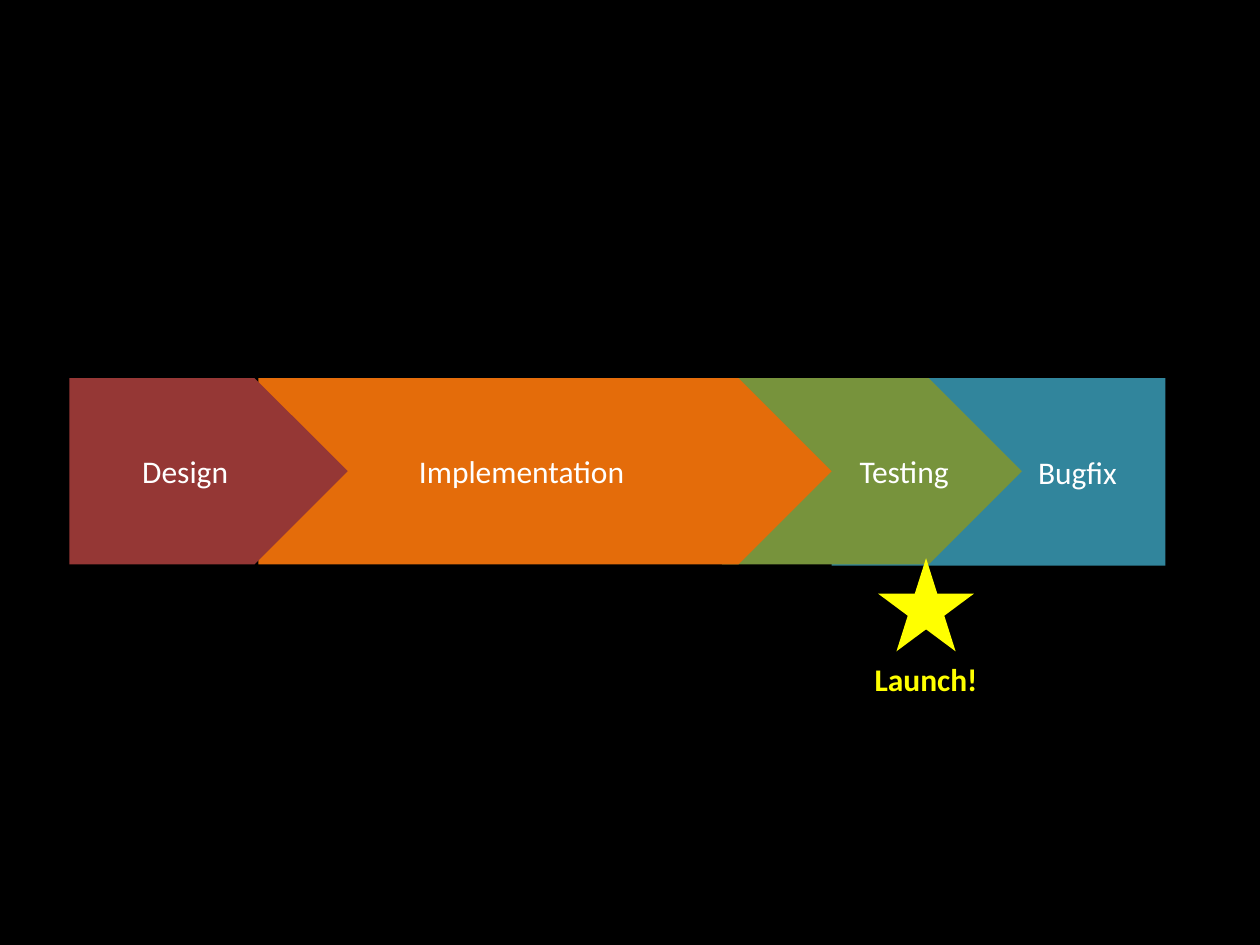
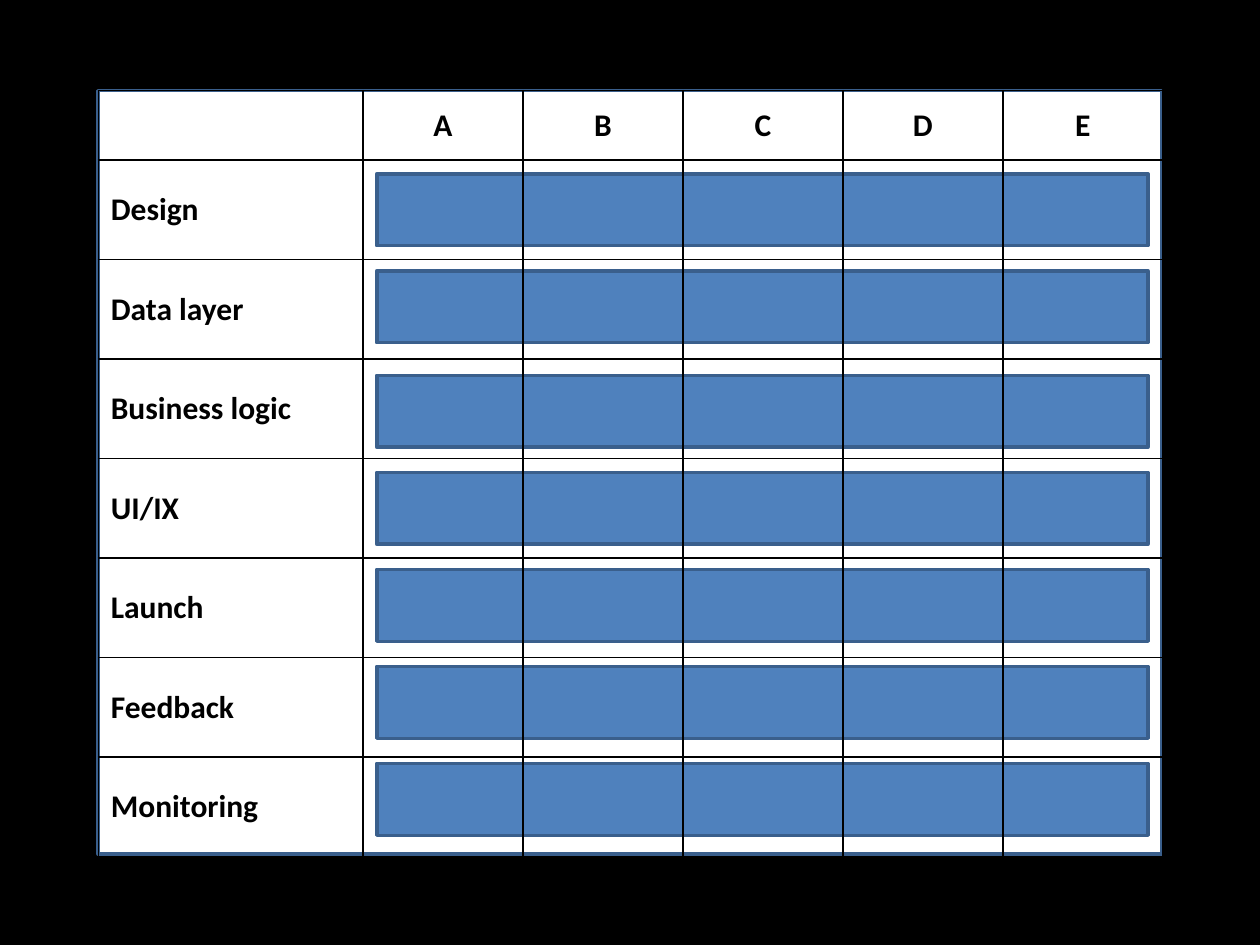
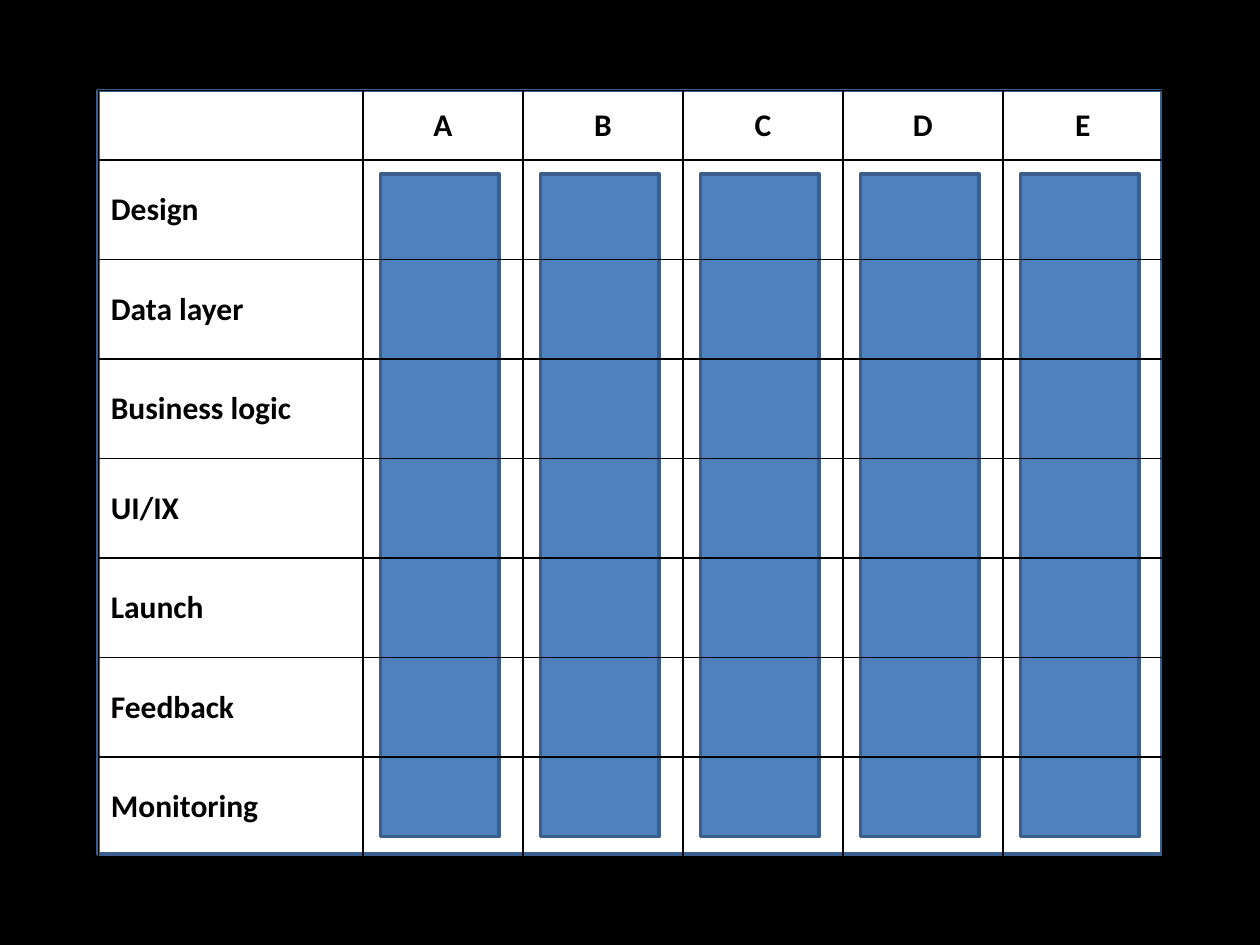
import pptx
import pptx.dml.color
import pptx.enum.shapes
import pptx.enum.text
import pptx.oxml.ns
import pptx.util
import lxml.etree

Inches = pptx.util.Inches
Pt = pptx.util.Pt
RGBColor = pptx.dml.color.RGBColor
SHAPE = pptx.enum.shapes.MSO_SHAPE
ALIGN = pptx.enum.text.PP_ALIGN
MIDDLE = pptx.enum.text.MSO_ANCHOR.MIDDLE

BLACK = RGBColor(0x00, 0x00, 0x00)
WHITE = RGBColor(0xFF, 0xFF, 0xFF)
YELLOW = RGBColor(0xFF, 0xFF, 0x00)
RED = RGBColor(0x95, 0x37, 0x35)
ORANGE = RGBColor(0xE4, 0x6C, 0x0A)
GREEN = RGBColor(0x77, 0x93, 0x3C)
TEAL = RGBColor(0x31, 0x85, 0x9C)
BLUE = RGBColor(0x4F, 0x81, 0xBD)
DARK_BLUE = RGBColor(0x3A, 0x5F, 0x8C)

LABEL_FONT = {"name": "Calibri", "size": Pt(18)}


def add_block(slide, preset, box, fill, outline=None):
    block = slide.shapes.add_shape(preset, *[Inches(length) for length in box])
    block.shadow.inherit = False
    block.fill.solid()
    block.fill.fore_color.rgb = fill
    if outline is None:
        block.line.fill.background()
    else:
        block.line.color.rgb = outline
        block.line.width = Pt(2)
    return block


def write_label(frame, text, color, bold=False, align=ALIGN.CENTER):
    paragraph = frame.paragraphs[0]
    paragraph.alignment = align
    run = paragraph.add_run()
    run.text = text
    for attribute, value in {**LABEL_FONT, "bold": bold}.items():
        setattr(run.font, attribute, value)
    run.font.color.rgb = color


deck = pptx.Presentation()
deck.slide_width = Inches(10)
deck.slide_height = Inches(7.5)

# Black background on every slide
phases_slide, layers_slide, features_slide = [
    deck.slides.add_slide(deck.slide_layouts[6]) for _ in range(3)
]
for slide in deck.slides:
    slide.background.fill.solid()
    slide.background.fill.fore_color.rgb = BLACK

# Project phases, last one at the back; the inset clears the overlapping arrow
PHASES = [
    ("Bugfix", SHAPE.RECTANGLE, 6.6, 2.65, 1.49, TEAL, 1.35),
    ("Testing", SHAPE.PENTAGON, 5.73, 2.38, 1.48, GREEN, 0.98),
    ("Implementation", SHAPE.PENTAGON, 2.05, 4.55, 1.48, ORANGE, 0.1),
    ("Design", SHAPE.PENTAGON, 0.55, 2.21, 1.48, RED, 0.1),
]
for name, preset, left, width, height, color, inset in PHASES:
    phase = add_block(phases_slide, preset, (left, 3, width, height), color)
    phase.text_frame.margin_left = Inches(inset)
    phase.text_frame.vertical_anchor = MIDDLE
    write_label(phase.text_frame, name, WHITE)

# Launch marker
add_block(phases_slide, SHAPE.STAR_5_POINT, (6.97, 4.43, 0.76, 0.74), YELLOW)
launch = phases_slide.shapes.add_textbox(Inches(6.6), Inches(5.19), Inches(1.5), Inches(0.4))
launch.text_frame.word_wrap = True
write_label(launch.text_frame, "Launch!", YELLOW, bold=True)

# Work matrix: layers against features
FEATURES = ["A", "B", "C", "D", "E"]
LAYERS = ["Design", "Data layer", "Business logic", "UI/IX", "Launch", "Feedback", "Monitoring"]
MATRIX_BOX = (0.78, 0.72, 8.44, 6.06)
FEATURE_WIDTH = 1.27
BARS_TOP = 1.38

# One bar per layer, with a slightly wider gap after the second
layer_bars = [
    (2.99, BARS_TOP + 0.77 * row + (0.06 if row >= 2 else 0), 6.12, 0.57)
    for row in range(len(LAYERS))
]
# One bar per feature
feature_bars = [
    (3.02 + FEATURE_WIDTH * column, BARS_TOP, 0.94, 5.26)
    for column in range(len(FEATURES))
]

for slide, bars in ((layers_slide, layer_bars), (features_slide, feature_bars)):
    # White panel and bars behind the grid
    add_block(slide, SHAPE.RECTANGLE, MATRIX_BOX, WHITE, DARK_BLUE)
    for bar in bars:
        add_block(slide, SHAPE.RECTANGLE, bar, BLUE, DARK_BLUE)

    # Transparent grid
    matrix = slide.shapes.add_table(
        len(LAYERS) + 1, len(FEATURES) + 1, *[Inches(length) for length in MATRIX_BOX]
    ).table
    matrix.first_row = False
    matrix.horz_banding = False
    for index, column in enumerate(matrix.columns):
        column.width = Inches(FEATURE_WIDTH if index else 2.1)
    for index, row in enumerate(matrix.rows):
        row.height = Inches(0.79 if index else 0.55)

    for cell in matrix.iter_cells():
        cell.vertical_anchor = MIDDLE
        properties = cell._tc.get_or_add_tcPr()
        for side in ("a:lnL", "a:lnR", "a:lnT", "a:lnB"):
            border = lxml.etree.SubElement(properties, pptx.oxml.ns.qn(side), w=str(Pt(1)))
            solid = lxml.etree.SubElement(border, pptx.oxml.ns.qn("a:solidFill"))
            lxml.etree.SubElement(solid, pptx.oxml.ns.qn("a:srgbClr"), val=str(BLACK))
        cell.fill.background()

    # Headings
    for column, feature in enumerate(FEATURES, 1):
        write_label(matrix.cell(0, column).text_frame, feature, BLACK, bold=True)
    for row, layer in enumerate(LAYERS, 1):
        write_label(matrix.cell(row, 0).text_frame, layer, BLACK, bold=True, align=ALIGN.LEFT)

deck.save("out.pptx")
